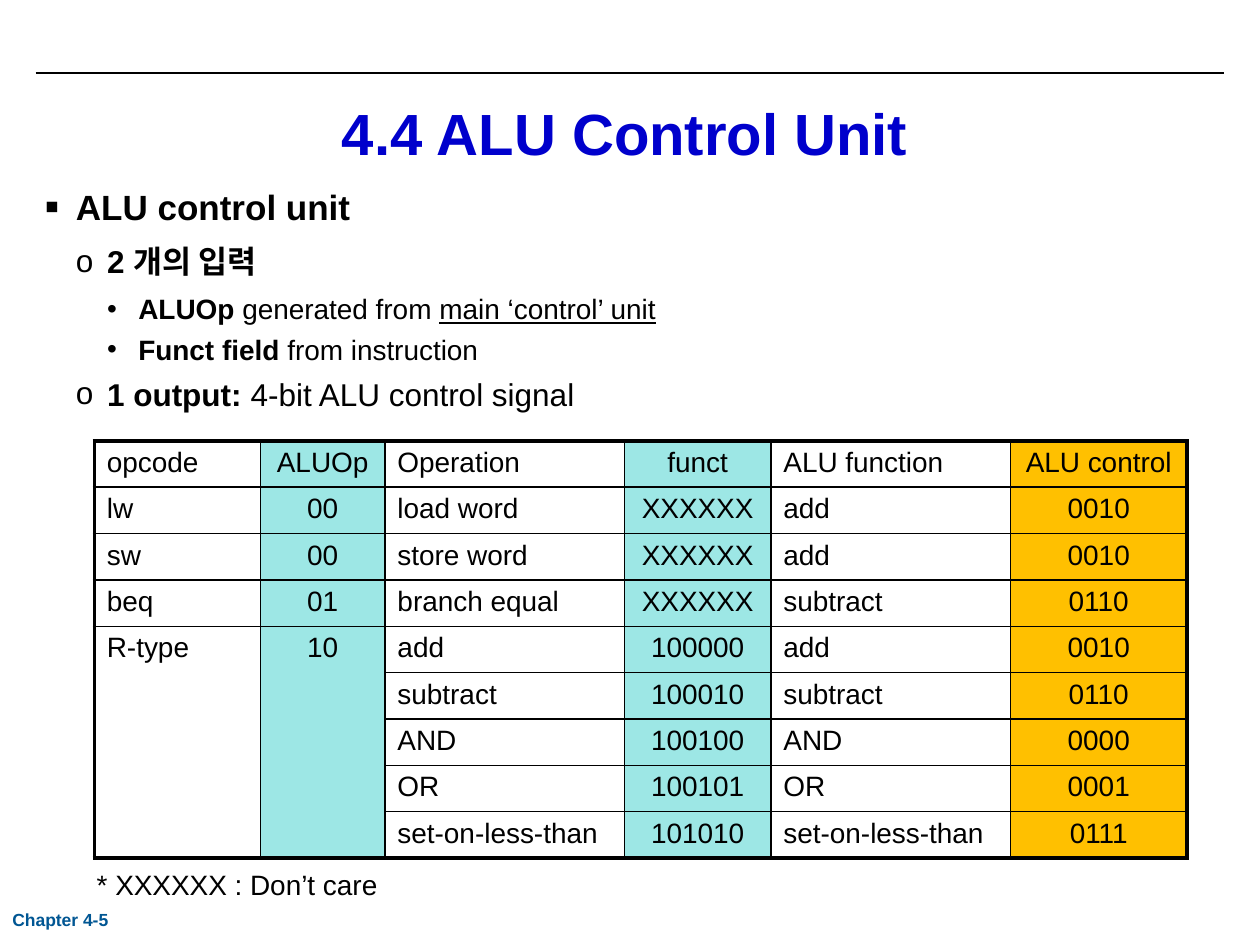
from lxml import etree
from pptx import Presentation
from pptx import util as u
from pptx.dml.color import RGBColor
from pptx.enum import shapes, text
from pptx.oxml import ns

BLACK, BLUE, NAVY, TEAL, GOLD = "000000", "0000CC", "005693", "9DE7E5", "FFC000"
LEFT, MID = text.PP_ALIGN.LEFT, text.PP_ALIGN.CENTER

ROWS = [
    ["opcode", "ALUOp", "Operation", "funct", "ALU function", "ALU control"],
    ["lw", "00", "load word", "XXXXXX", "add", "0010"],
    ["sw", "00", "store word", "XXXXXX", "add", "0010"],
    ["beq", "01", "branch equal", "XXXXXX", "subtract", "0110"],
    ["R-type", "10", "add", "100000", "add", "0010"],
    ["", "", "subtract", "100010", "subtract", "0110"],
    ["", "", "AND", "100100", "AND", "0000"],
    ["", "", "OR", "100101", "OR", "0001"],
    ["", "", "set-on-less-than", "101010", "set-on-less-than", "0111"],
]
WIDTHS = [3.35, 2.51, 4.83, 2.95, 4.83, 3.56]
FILLS = [None, TEAL, None, TEAL, None, GOLD]
MERGE = 4

LEVELS = [
    {"mark": "▪", "scale": 120, "size": 20, "left": 0.64, "before": 0.35, "after": 0.15},
    {"mark": "o", "scale": 100, "size": 18, "left": 1.27, "before": 0.25, "after": 0.15},
    {"mark": "•", "scale": 100, "size": 16, "left": 1.9, "before": 0.2, "after": 0},
]
POINTS = [
    (0, [("ALU control unit", "b")]),
    (1, [("2 개의 입력", "b")]),
    (2, [("ALUOp", "b"), (" generated from ", ""), ("main ‘control’ unit", "u")]),
    (2, [("Funct field ", "b"), ("from instruction", "")]),
    (1, [("1 output: ", "b"), ("4-bit ALU control signal", "")]),
]


def color(code):
    """Turn a hex string into a colour."""
    return RGBColor.from_string(code)


def style(run, size, code=BLACK, bold=False, under=False):
    """Set the font of one run."""
    font = run.font
    font.name, font.size = "Arial", u.Pt(size)
    font.bold, font.underline = bold, under
    font.color.rgb = color(code)


def add(root, tag, **attrs):
    """Append a drawing element to a parent."""
    return etree.SubElement(root, ns.qn("a:" + tag), attrs)


def label(slide, box, words, size, code=BLACK, bold=False, align=LEFT, wrap=True):
    """Place one line of text in a box and return its frame."""
    frame = slide.shapes.add_textbox(*map(u.Cm, box)).text_frame
    frame.word_wrap = wrap
    frame.text = words
    para = frame.paragraphs[0]
    para.alignment = align
    style(para.runs[0], size, code, bold)
    return frame


def header(slide, box):
    """Draw the rule and the centred title below it."""
    left, top, width, height = box
    y = u.Cm(top - 0.43)
    rule = slide.shapes.add_connector(
        shapes.MSO_CONNECTOR.STRAIGHT, u.Cm(left + 0.08), y, u.Cm(left + width + 0.1), y)
    rule.line.color.rgb = color(BLACK)
    rule.line.width = u.Pt(0.75)
    add(rule._element.spPr, "effectLst")
    frame = label(slide, box, "4.4 ALU Control Unit", 33.2, BLUE, True, MID)
    frame.margin_left = frame.margin_right = frame.margin_top = 0
    frame.margin_bottom = u.Cm(0.15)
    frame.vertical_anchor = text.MSO_ANCHOR.MIDDLE


def bullet(para, level):
    """Give a paragraph the indent, spacing and mark of its level."""
    look = LEVELS[level]
    para.level = level
    para.space_before = u.Pt(round(look["size"] * look["before"] * 1.15, 1))
    para.space_after = u.Pt(round(look["size"] * look["after"] * 1.15, 1))
    props = para._p.get_or_add_pPr()
    props.set("marL", str(u.Cm(look["left"])))
    props.set("indent", str(u.Cm(-0.63)))
    add(add(props, "buClr"), "srgbClr", val=BLACK)
    add(props, "buSzPct", val=str(look["scale"] * 1000))
    add(props, "buFont", typeface="Arial")
    add(props, "buChar", char=look["mark"])


def outline(slide, box):
    """Write the bulleted points."""
    frame = slide.shapes.add_textbox(*map(u.Cm, box)).text_frame
    frame.word_wrap = True
    for i, (level, parts) in enumerate(POINTS):
        para = frame.add_paragraph() if i else frame.paragraphs[0]
        bullet(para, level)
        for words, kind in parts:
            run = para.add_run()
            run.text = words
            style(run, LEVELS[level]["size"], bold=kind == "b", under=kind == "u")


def border(cell, row, col):
    """Draw the four edges of a cell, heavier around the table."""
    last = len(ROWS) - 1
    edges = {
        "lnL": 1 if col else 2.25,
        "lnR": 2.25 if col == len(WIDTHS) - 1 else 1,
        "lnT": {0: 2.25, 1: 1.5}.get(row, 1),
        "lnB": {0: 1.5, last: 2.25}.get(row, 1),
    }
    if col < 2 and row == MERGE:
        edges["lnB"] = 2.25
    props = cell._tc.get_or_add_tcPr()
    for tag, width in edges.items():
        line = add(props, tag, w=str(u.Pt(width)))
        add(add(line, "solidFill"), "srgbClr", val=BLACK)


def grid(slide, box):
    """Build the control table."""
    shape = slide.shapes.add_table(len(ROWS), len(WIDTHS), *map(u.Cm, box))
    table = shape.table
    table.first_row = table.horz_banding = False
    for col, width in zip(table.columns, WIDTHS):
        col.width = u.Cm(width)
    for row in table.rows:
        row.height = u.Cm(box[3] / len(ROWS))
    for r, row in enumerate(ROWS):
        for c, words in enumerate(row):
            cell = table.cell(r, c)
            border(cell, r, c)
            if FILLS[c]:
                cell.fill.solid()
                cell.fill.fore_color.rgb = color(FILLS[c])
            else:
                cell.fill.background()
            if words:
                cell.text = words
                para = cell.text_frame.paragraphs[0]
                para.alignment = MID if FILLS[c] else LEFT
                style(para.runs[0], 16)
    for c in range(2):
        table.cell(MERGE, c).merge(table.cell(len(ROWS) - 1, c))


def main():
    """Build and save the slide."""
    deck = Presentation()
    deck.slide_width, deck.slide_height = u.Cm(25.4), u.Cm(19.05)
    slide = deck.slides.add_slide(deck.slide_layouts[6])
    header(slide, (0.64, 1.9, 23.93, 1.7))
    label(slide, (0, 18.21, 4.65, 0.76), "Chapter 4-5", 10, NAVY, True)
    grid(slide, (1.9, 8.89, 22, 8.41))
    label(slide, (1.7, 17.37, 6.48, 0.94), "* XXXXXX : Don’t care", 16, wrap=False)
    outline(slide, (0.64, 3.61, 23.93, 14.81))
    deck.save("out.pptx")


if __name__ == "__main__":
    main()
